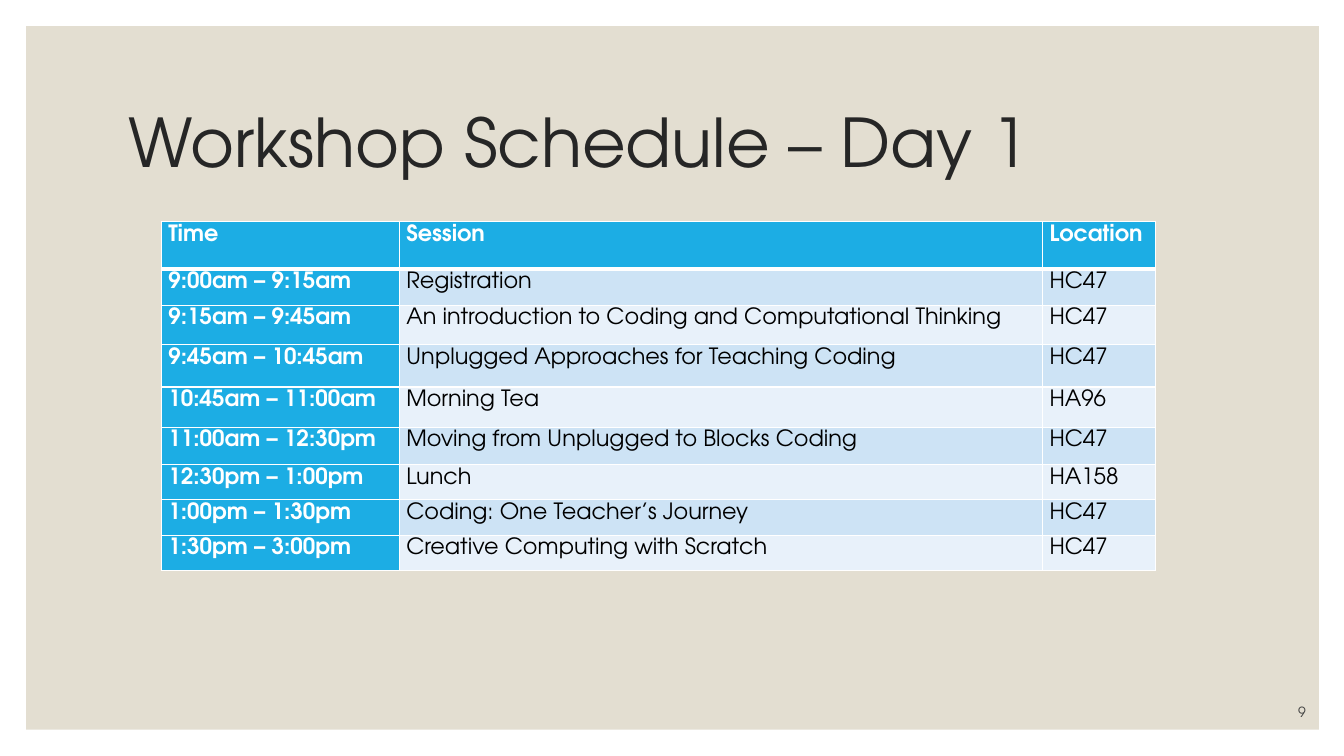
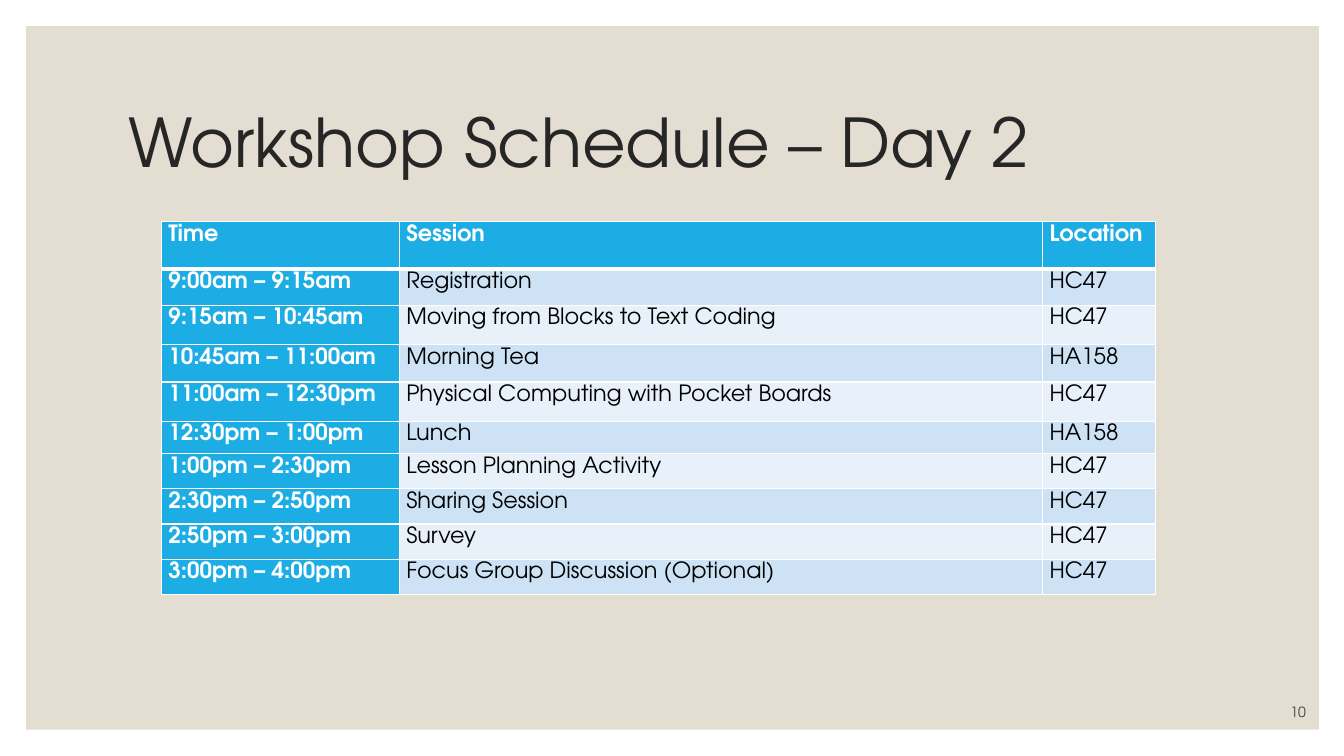
from dataclasses import dataclass

import pptx
import pptx.dml.color
import pptx.enum.shapes
import pptx.enum.text
import pptx.oxml
import pptx.oxml.ns
import pptx.util

Inches = pptx.util.Inches
Align = pptx.enum.text.PP_ALIGN
Anchor = pptx.enum.text.MSO_ANCHOR

FONT = "TeX Gyre Adventor"
WHITE = "FFFFFF"
BLACK = "000000"
PANEL = "E3DED1"
TITLE = "262626"
NUMBER = "404040"
ACCENT = "1CADE4"
BANDS = ("CDE3F5", "E8F1FA")

COLUMN_WIDTHS = (2.36, 6.38, 1.12)
HEADER = ("Time", "Session", "Location")
HEADER_HEIGHT = 0.47


@dataclass(frozen=True)
class Session:
    time: str
    name: str
    room: str
    height: float = 0.35


@dataclass(frozen=True)
class Day:
    title: str
    number: int
    sessions: tuple[Session, ...]


DAYS = (
    Day("Workshop Schedule – Day 1", 9, (
        Session("9:00am – 9:15am", "Registration", "HC47", 0.36),
        Session("9:15am – 9:45am", "An introduction to Coding and Computational Thinking", "HC47", 0.39),
        Session("9:45am – 10:45am", "Unplugged Approaches for Teaching Coding", "HC47", 0.42),
        Session("10:45am – 11:00am", "Morning Tea", "HA96", 0.4),
        Session("11:00am – 12:30pm", "Moving from Unplugged to Blocks Coding", "HC47", 0.37),
        Session("12:30pm – 1:00pm", "Lunch", "HA158"),
        Session("1:00pm – 1:30pm", "Coding: One Teacher’s Journey", "HC47"),
        Session("1:30pm – 3:00pm", "Creative Computing with Scratch", "HC47"),
    )),
    Day("Workshop Schedule – Day 2", 10, (
        Session("9:00am – 9:15am", "Registration", "HC47", 0.36),
        Session("9:15am – 10:45am", "Moving from Blocks to Text Coding", "HC47", 0.39),
        Session("10:45am – 11:00am", "Morning Tea", "HA158", 0.37),
        Session("11:00am – 12:30pm", "Physical Computing with Pocket Boards", "HC47", 0.39),
        Session("12:30pm – 1:00pm", "Lunch", "HA158", 0.32),
        Session("1:00pm – 2:30pm", "Lesson Planning Activity", "HC47"),
        Session("2:30pm – 2:50pm", "Sharing Session", "HC47"),
        Session("2:50pm – 3:00pm", "Survey", "HC47"),
        Session("3:00pm – 4:00pm", "Focus Group Discussion (Optional)", "HC47"),
    )),
)


def rgb(color: str) -> pptx.dml.color.RGBColor:
    return pptx.dml.color.RGBColor.from_string(color)


def write_text(frame, text: str, *, size: float, color: str, bold: bool = False,
               align=Align.LEFT, spacing: float = 1.0) -> None:
    paragraph = frame.paragraphs[0]
    paragraph.alignment = align
    paragraph.line_spacing = spacing
    run = paragraph.add_run()
    run.text = text
    run.font.name = FONT
    run.font.size = pptx.util.Pt(size)
    run.font.bold = bold
    run.font.color.rgb = rgb(color)


def add_panel(slide) -> None:
    panel = slide.shapes.add_shape(
        pptx.enum.shapes.MSO_SHAPE.RECTANGLE,
        Inches(0.26), Inches(0.26), Inches(12.82), Inches(6.98))
    panel.shadow.inherit = False
    panel.fill.solid()
    panel.fill.fore_color.rgb = rgb(PANEL)
    panel.line.fill.background()
    slide.shapes.element.insert(2, panel.element)


def set_title(slide, text: str) -> None:
    title = slide.shapes.title
    title.left, title.top = Inches(1.17), Inches(0.7)
    title.width, title.height = Inches(11), Inches(1.5)
    frame = title.text_frame
    frame.word_wrap = True
    frame.auto_size = pptx.enum.text.MSO_AUTO_SIZE.NONE
    frame.vertical_anchor = Anchor.MIDDLE
    write_text(frame, text, size=48, color=TITLE, spacing=0.9)


def add_slide_number(slide, number: int) -> None:
    box = slide.shapes.add_textbox(Inches(11.45), Inches(6.9), Inches(1.6), Inches(0.3))
    box.text_frame.word_wrap = True
    box.text_frame.vertical_anchor = Anchor.BOTTOM
    write_text(box.text_frame, str(number), size=10, color=NUMBER, align=Align.RIGHT)


def set_borders(cell, *, top: float, bottom: float) -> None:
    properties = cell._tc.get_or_add_tcPr()
    for side, width in (("L", 1), ("R", 1), ("T", top), ("B", bottom)):
        properties.append(pptx.oxml.parse_xml(
            f'<a:ln{side} {pptx.oxml.ns.nsdecls("a")} w="{pptx.util.Pt(width)}">'
            f'<a:solidFill><a:srgbClr val="{WHITE}"/></a:solidFill></a:ln{side}>'))


def fill_cell(cell, text: str, row: int, column: int) -> None:
    heading = row == 0 or column == 0
    set_borders(cell, top=3 if row == 1 else 1, bottom=3 if row == 0 else 1)
    cell.fill.solid()
    cell.fill.fore_color.rgb = rgb(ACCENT if heading else BANDS[(row - 1) % 2])
    cell.margin_left = cell.margin_right = Inches(0.07)
    cell.margin_top = cell.margin_bottom = 0
    write_text(cell.text_frame, text, size=16, color=WHITE if heading else BLACK,
               bold=heading, spacing=1.15)


def add_schedule(slide, sessions: tuple[Session, ...]) -> None:
    rows = [HEADER] + [(session.time, session.name, session.room) for session in sessions]
    heights = [HEADER_HEIGHT] + [session.height for session in sessions]
    table = slide.shapes.add_table(
        len(rows), len(HEADER), Inches(1.6), Inches(2.2),
        Inches(sum(COLUMN_WIDTHS)), Inches(sum(heights))).table
    table.first_row = table.horz_banding = False
    for column, width in zip(table.columns, COLUMN_WIDTHS):
        column.width = Inches(width)
    for row_index, (texts, height) in enumerate(zip(rows, heights)):
        table.rows[row_index].height = Inches(height)
        for column_index, text in enumerate(texts):
            fill_cell(table.cell(row_index, column_index), text, row_index, column_index)


def main() -> None:
    presentation = pptx.Presentation()
    presentation.slide_width = Inches(13.33)
    presentation.slide_height = Inches(7.5)
    title_only = presentation.slide_layouts.get_by_name("Title Only")
    for day in DAYS:
        slide = presentation.slides.add_slide(title_only)
        add_panel(slide)
        set_title(slide, day.title)
        add_slide_number(slide, day.number)
        add_schedule(slide, day.sessions)
    presentation.save("out.pptx")


main()
